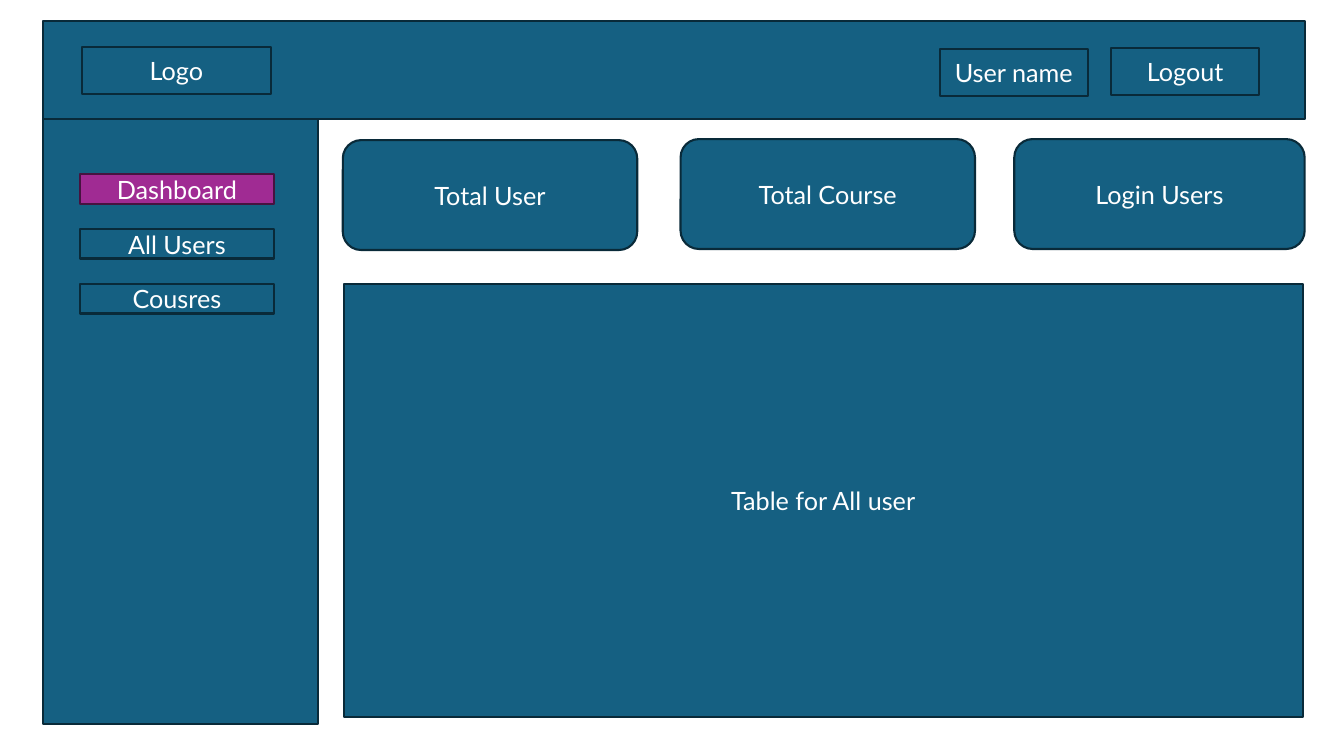
import pptx
import pptx.util
import pptx.dml.color
import pptx.enum.shapes
import pptx.enum.text

Inches = pptx.util.Inches
RGBColor = pptx.dml.color.RGBColor
RECTANGLE = pptx.enum.shapes.MSO_SHAPE.RECTANGLE
ROUNDED = pptx.enum.shapes.MSO_SHAPE.ROUNDED_RECTANGLE

BLUE = RGBColor(0x15, 0x60, 0x82)
NAVY = RGBColor(0x09, 0x2A, 0x39)
PURPLE = RGBColor(0xA0, 0x2B, 0x93)
PLUM = RGBColor(0x46, 0x13, 0x40)
WHITE = RGBColor(0xFF, 0xFF, 0xFF)


def add_box(slide, left, top, width, height, text="", kind=RECTANGLE, fill=BLUE, line=NAVY):
    shape = slide.shapes.add_shape(
        kind, Inches(left), Inches(top), Inches(width), Inches(height))
    shape.shadow.inherit = False
    shape.fill.solid()
    shape.fill.fore_color.rgb = fill
    shape.line.color.rgb = line
    shape.line.width = pptx.util.Pt(1.5)
    if text:
        frame = shape.text_frame
        frame.word_wrap = True
        frame.vertical_anchor = pptx.enum.text.MSO_ANCHOR.MIDDLE
        paragraph = frame.paragraphs[0]
        paragraph.text = text
        paragraph.alignment = pptx.enum.text.PP_ALIGN.CENTER
        paragraph.font.name = "Lato"
        paragraph.font.size = pptx.util.Pt(18)
        paragraph.font.color.rgb = WHITE


def add_header(slide, left, top, width, height):
    add_box(slide, left, top, width, height)
    add_box(slide, left + 0.38, top + 0.26, 1.88, 0.46, "Logo")
    # Account buttons, measured from the right edge
    right = left + width
    add_box(slide, right - 3.62, top + 0.28, 1.47, 0.46, "User name")
    add_box(slide, right - 1.92, top + 0.27, 1.47, 0.46, "Logout")


def add_sidebar(slide, left, top, width, height):
    add_box(slide, left, top, width, height)
    # Menu, with the current page highlighted
    for index, label in enumerate(("Dashboard", "All Users", "Cousres")):
        fill, line = (PURPLE, PLUM) if index == 0 else (BLUE, NAVY)
        add_box(slide, left + 0.36, top + 0.55 + index * 0.545, 1.93, 0.29,
                label, fill=fill, line=line)


def add_content(slide, left, top, width, height):
    # Summary cards: offset from the left and top, width
    cards = (("Total User", 0, 0.01, 2.92),
             ("Total Course", 3.35, 0, 2.92),
             ("Login Users", 6.66, 0, 2.88))
    for label, offset, drop, card_width in cards:
        add_box(slide, left + offset, top + drop, card_width, 1.09, label, ROUNDED)
    # Table area
    add_box(slide, left + 0.01, top + 1.44, width - 0.03, height - 1.44,
            "Table for All user")


def main():
    presentation = pptx.Presentation()
    presentation.slide_width = Inches(13.33)
    presentation.slide_height = Inches(7.5)
    slide = presentation.slides.add_slide(presentation.slide_layouts[6])
    add_header(slide, 0.43, 0.21, 12.51, 0.97)
    add_sidebar(slide, 0.43, 1.18, 2.72, 6)
    add_content(slide, 3.4, 1.38, 9.54, 5.73)
    presentation.save("out.pptx")


if __name__ == "__main__":
    main()
